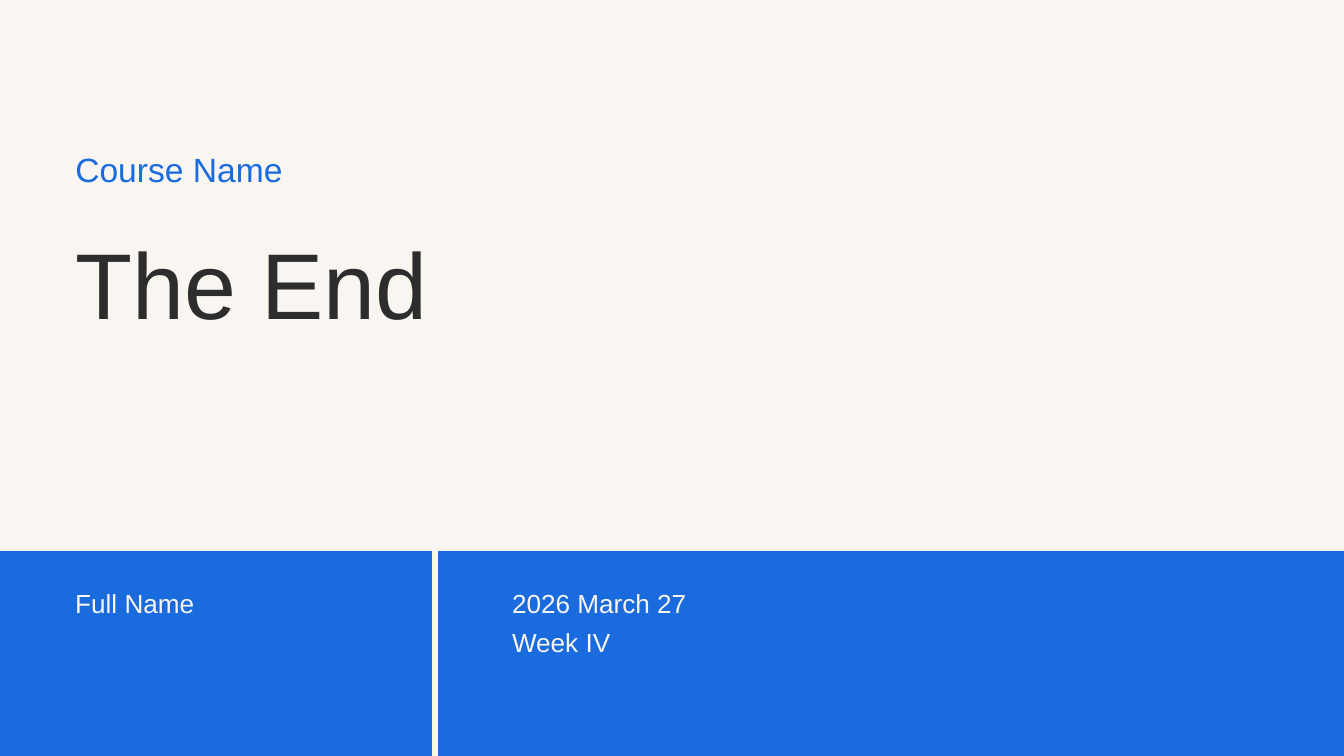
from lxml import etree
from pptx import Presentation
from pptx.dml.color import RGBColor
from pptx.enum.shapes import MSO_CONNECTOR, MSO_SHAPE
from pptx.oxml.ns import qn
from pptx.util import Pt

RECTANGLE = MSO_SHAPE.RECTANGLE
STRAIGHT = MSO_CONNECTOR.STRAIGHT

COLORS = {"cream": "F9F5F0", "blue": "196BDE", "ink": "2D2D2D"}
FONT = "Arial"
WIDTH, HEIGHT = 1440, 810
BAND_TOP = 590.4
DIVIDER_X, DIVIDER_TOP = 465.8, 570.2
LEFT = 80.64
FOOTER_TOP, FOOTER_STEP = 623.5, 41.8

# text, left, top, width, height, format
HEADINGS = [
    ("The End", LEFT, 241.9, 1134.7, 119.5,
     {"size": 100, "spacing": 120, "color": "ink"}),
    ("Course Name", LEFT, 152.6, 637.2, 48.2,
     {"size": 36, "spacing": 50.4, "color": "blue"}),
]
# left edge, lines
FOOTER_COLUMNS = [
    (LEFT, ["Full Name"]),
    (548.64, ["2026 March 27", "Week IV"]),
]


def rgb(name):
    return RGBColor.from_string(COLORS[name])


def add_text(slide, text, left, top, width, height, *, size, spacing, color):
    box = slide.shapes.add_textbox(Pt(left), Pt(top), Pt(width), Pt(height))
    tf = box.text_frame
    tf.word_wrap = True
    tf.margin_left = tf.margin_right = tf.margin_top = tf.margin_bottom = 0
    p = tf.paragraphs[0]
    p.line_spacing = Pt(spacing)
    r = p.add_run()
    r.text = text
    r.font.name = FONT
    r.font.size = Pt(size)
    r.font.color.rgb = rgb(color)


def add_band(slide):
    sp = slide.shapes.add_shape(
        RECTANGLE, 0, Pt(BAND_TOP), Pt(WIDTH), Pt(HEIGHT - BAND_TOP))
    sp.shadow.inherit = False
    sp.fill.solid()
    sp.fill.fore_color.rgb = rgb("blue")
    sp.line.fill.background()


def add_divider(slide):
    line = slide.shapes.add_connector(
        STRAIGHT, Pt(DIVIDER_X), Pt(DIVIDER_TOP), Pt(DIVIDER_X), Pt(HEIGHT))
    line.line.color.rgb = rgb("cream")
    line.line.width = Pt(6)
    etree.SubElement(line._element.spPr, qn("a:effectLst"))


def main():
    prs = Presentation()
    prs.slide_width, prs.slide_height = Pt(WIDTH), Pt(HEIGHT)
    s = prs.slides.add_slide(prs.slide_layouts[6])
    s.background.fill.solid()
    s.background.fill.fore_color.rgb = rgb("cream")

    add_band(s)
    for text, left, top, width, height, style in HEADINGS:
        add_text(s, text, left, top, width, height, **style)
    for left, lines in FOOTER_COLUMNS:
        for i, text in enumerate(lines):
            add_text(s, text, left, FOOTER_TOP + i * FOOTER_STEP, 342.7, 38.9,
                     size=28, spacing=39.2, color="cream")
    add_divider(s)
    prs.save("out.pptx")


if __name__ == "__main__":
    main()
